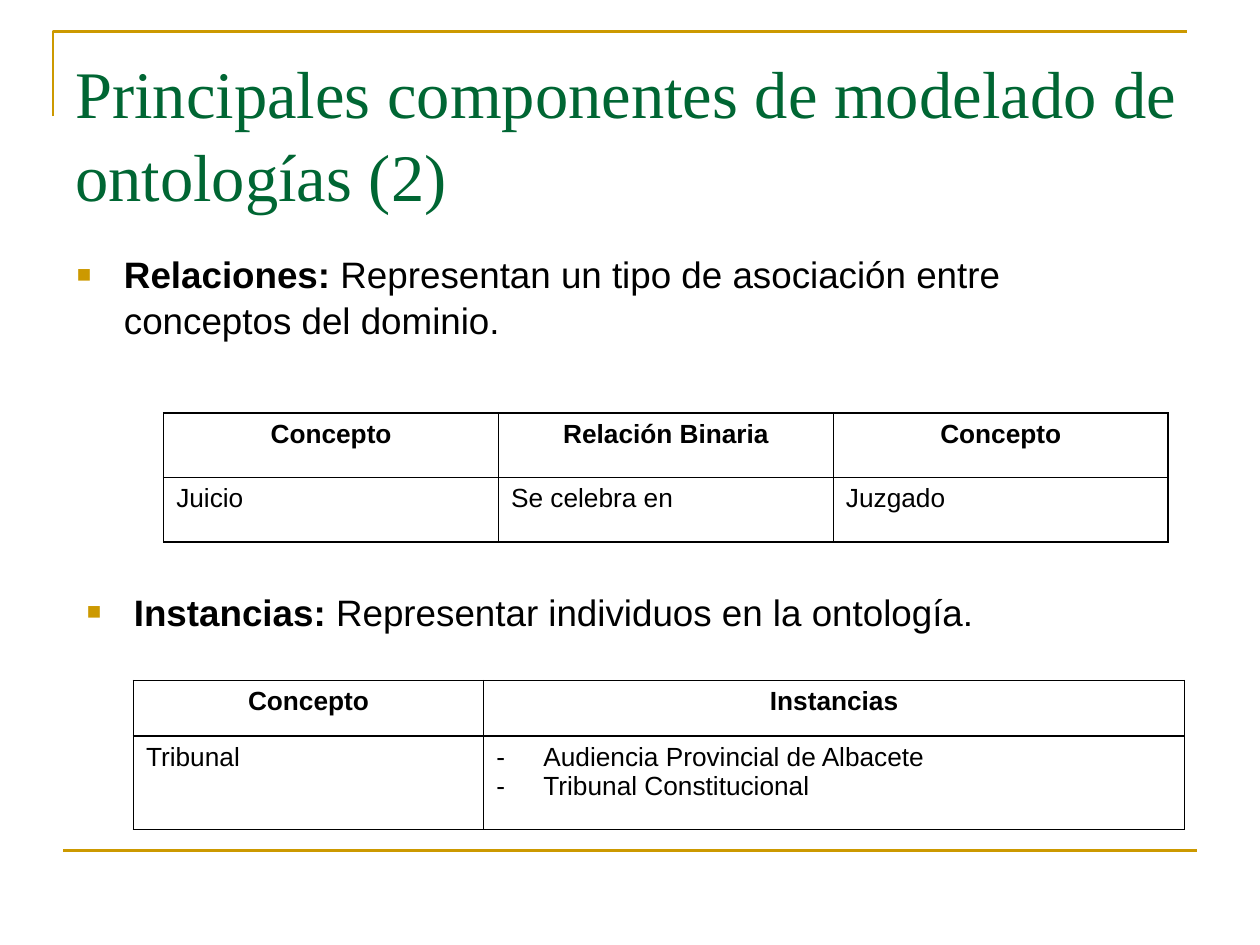
from dataclasses import dataclass

from lxml import etree
from pptx import Presentation
from pptx.dml.color import RGBColor
from pptx.enum.shapes import MSO_CONNECTOR
from pptx.enum.text import MSO_ANCHOR, PP_ALIGN
from pptx.oxml.ns import qn
from pptx.util import Cm, Pt

CENTER, JUSTIFY, LEFT = PP_ALIGN.CENTER, PP_ALIGN.JUSTIFY, PP_ALIGN.LEFT
STRAIGHT = MSO_CONNECTOR.STRAIGHT
TOP = MSO_ANCHOR.TOP


@dataclass(frozen=True)
class Theme:
    gold: str = "CC9900"
    green: str = "006633"
    black: str = "000000"
    title_font: str = "Times New Roman"
    body_font: str = "Arial"
    title_size: float = 38
    body_size: float = 21
    cell_size: float = 15
    rule_width: float = 1.5
    border_width: float = 1
    hanging: float = 0.95
    line_spacing: float = 1.03


@dataclass(frozen=True)
class Box:
    """Position and size in centimetres."""
    left: float
    top: float
    width: float
    height: float

    def lengths(self) -> tuple:
        return Cm(self.left), Cm(self.top), Cm(self.width), Cm(self.height)


@dataclass(frozen=True)
class Definition:
    box: Box
    term: str
    meaning: str


@dataclass(frozen=True)
class ExampleTable:
    left: float
    top: float
    columns: tuple
    rows: tuple
    headings: tuple
    entries: tuple  # a tuple inside marks a dashed list


THEME = Theme()
TITLE = "Principales componentes de modelado de ontologías (2)"
TITLE_BOX = Box(1.27, 0.76, 22.86, 3.18)

DEFINITIONS = (
    Definition(Box(1.3, 4.93, 22.43, 3.07), "Relaciones: ",
               "Representan un tipo de asociación entre conceptos del dominio."),
    Definition(Box(1.5, 11.73, 22.43, 2.59), "Instancias: ",
               "Representar individuos en la ontología."),
)

TABLES = (
    ExampleTable(3.3, 8.33, (6.75,) * 3, (1.3, 1.3),
                 ("Concepto", "Relación Binaria", "Concepto"),
                 ("Juicio", "Se celebra en", "Juzgado")),
    ExampleTable(2.69, 13.72, (7.06, 14.13), (1.12, 1.88),
                 ("Concepto", "Instancias"),
                 ("Tribunal", ("Audiencia Provincial de Albacete",
                               "Tribunal Constitucional"))),
)


def add_run(paragraph, text: str, size: float, bold: bool = False,
            color: str = THEME.black, font: str = THEME.body_font) -> None:
    run = paragraph.add_run()
    run.text = text
    run.font.name = font
    run.font.size = Pt(size)
    run.font.bold = bold
    run.font.color.rgb = RGBColor.from_string(color)


def add_child(parent, tag: str, **attributes: str):
    return etree.SubElement(parent, qn(tag), attributes)


def hang(paragraph):
    """Give the paragraph a hanging indent and return its properties."""
    properties = paragraph._p.get_or_add_pPr()
    properties.set("marL", str(Cm(THEME.hanging)))
    properties.set("indent", str(-Cm(THEME.hanging)))
    return properties


def add_bullet(properties, mark: str, color: str, percent: int) -> None:
    add_child(add_child(properties, "a:buClr"), "a:srgbClr", val=color)
    add_child(properties, "a:buSzPct", val=str(percent * 1000))
    add_child(properties, "a:buFont", typeface=THEME.body_font)
    add_child(properties, "a:buChar", char=mark)


def add_text_frame(slide, box: Box):
    frame = slide.shapes.add_textbox(*box.lengths()).text_frame
    frame.word_wrap = True
    frame.vertical_anchor = TOP
    frame.paragraphs[0].alignment = LEFT
    frame.paragraphs[0].line_spacing = THEME.line_spacing
    return frame


def add_title(slide) -> None:
    frame = add_text_frame(slide, TITLE_BOX)
    frame.margin_top = Cm(0.25)
    add_run(frame.paragraphs[0], TITLE, THEME.title_size,
            color=THEME.green, font=THEME.title_font)


def add_definition(slide, definition: Definition) -> None:
    paragraph = add_text_frame(slide, definition.box).paragraphs[0]
    paragraph.space_before = Pt(0.2 * THEME.body_size)
    add_bullet(hang(paragraph), "■", THEME.gold, 65)
    add_run(paragraph, definition.term, THEME.body_size, bold=True)
    add_run(paragraph, definition.meaning, THEME.body_size)


def style_rule(line) -> None:
    line.color.rgb = RGBColor.from_string(THEME.gold)
    line.width = Pt(THEME.rule_width)


def add_rules(slide) -> None:
    """Draw the corner around the title and the line at the foot."""
    left, top, right, bottom = Cm(1.07), Cm(0.64), Cm(23.93), Cm(2.34)
    builder = slide.shapes.build_freeform(left, bottom)
    builder.add_line_segments([(left, top), (right, top)], close=False)
    corner = builder.convert_to_shape()
    corner.shadow.inherit = False
    corner.fill.background()
    style_rule(corner.line)

    foot = slide.shapes.add_connector(STRAIGHT, Cm(1.27), Cm(17.15), Cm(24.13), Cm(17.15))
    add_child(foot._element.spPr, "a:effectLst")
    style_rule(foot.line)


def style_cell(cell) -> None:
    properties = cell._tc.get_or_add_tcPr()
    for side in ("a:lnL", "a:lnR", "a:lnT", "a:lnB"):
        border = add_child(properties, side, w=str(Pt(THEME.border_width)))
        add_child(add_child(border, "a:solidFill"), "a:srgbClr", val=THEME.black)
    cell.fill.background()
    cell.vertical_anchor = TOP


def fill_cell(cell, content, heading: bool) -> None:
    style_cell(cell)
    dashed = isinstance(content, tuple)
    for index, text in enumerate(content if dashed else (content,)):
        frame = cell.text_frame
        paragraph = frame.add_paragraph() if index else frame.paragraphs[0]
        paragraph.alignment = CENTER if heading else JUSTIFY
        properties = hang(paragraph)
        if dashed:
            add_bullet(properties, "-", THEME.black, 100)
        add_run(paragraph, text, THEME.cell_size, bold=heading)


def add_example_table(slide, example: ExampleTable) -> None:
    box = Box(example.left, example.top, sum(example.columns), sum(example.rows))
    table = slide.shapes.add_table(
        len(example.rows), len(example.columns), *box.lengths()).table
    table.first_row = table.horz_banding = False
    for column, width in zip(table.columns, example.columns):
        column.width = Cm(width)
    for row, height in zip(table.rows, example.rows):
        row.height = Cm(height)
    for row, contents in enumerate((example.headings, example.entries)):
        for column, content in enumerate(contents):
            fill_cell(table.cell(row, column), content, heading=row == 0)


def main() -> None:
    presentation = Presentation()
    presentation.slide_width, presentation.slide_height = Cm(25.4), Cm(19.05)
    slide = presentation.slides.add_slide(presentation.slide_layouts[6])
    add_rules(slide)
    add_title(slide)
    for definition, example in zip(DEFINITIONS, TABLES):
        add_definition(slide, definition)
        add_example_table(slide, example)
    presentation.save("out.pptx")


if __name__ == "__main__":
    main()
